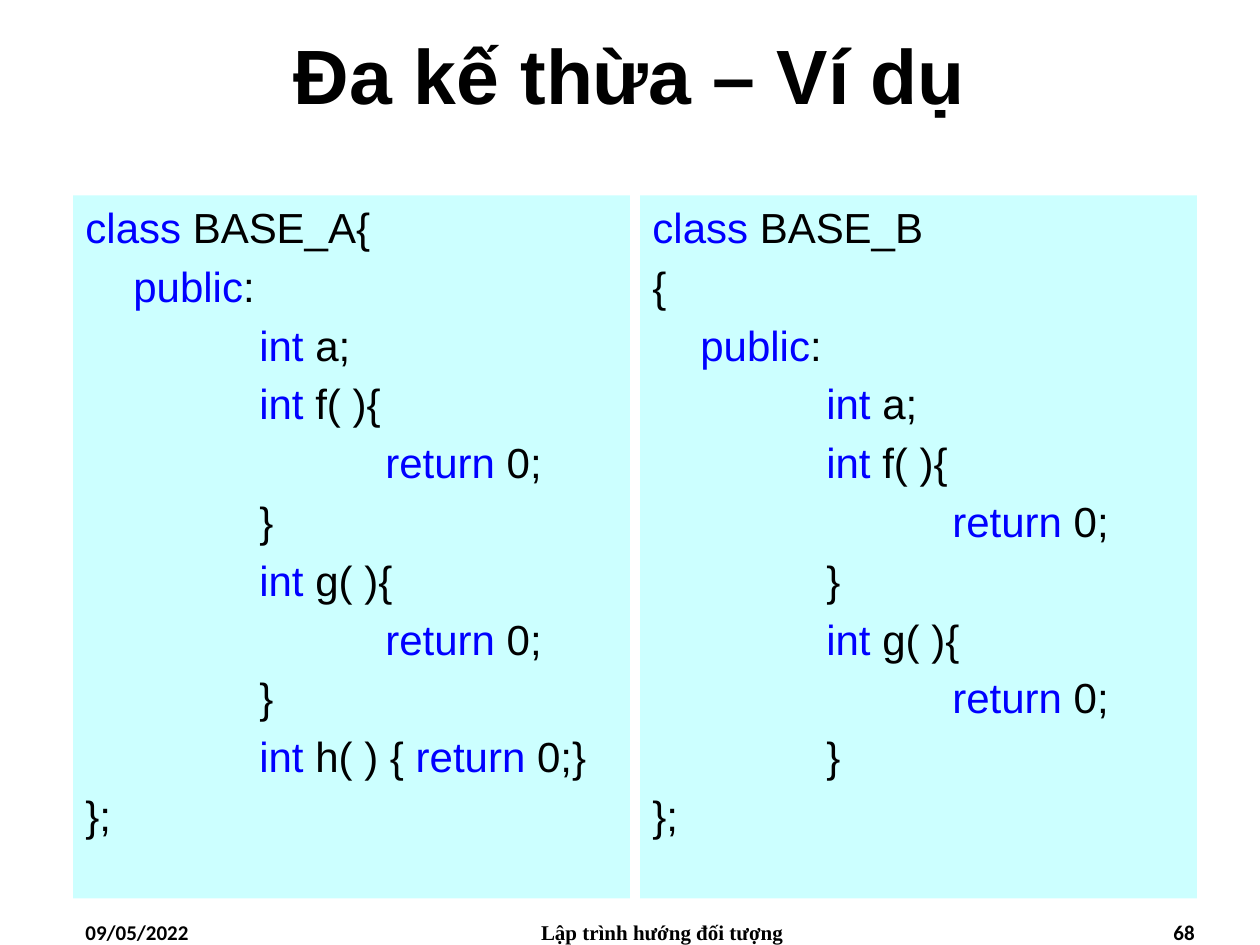
import pptx
import pptx.util
from pptx.dml.color import RGBColor
from pptx.enum.shapes import MSO_SHAPE
from pptx.enum.text import MSO_ANCHOR, PP_ALIGN
from pptx.util import Inches, Pt

COLORS = {"text": "000000", "keyword": "0000FF", "panel": "CCFFFF"}

# Keywords stand between bars.
METHODS = [
    "\t|public|:",
    "\t\t|int| a;",
    "\t\t|int| f( ){",
    "\t\t\t|return| 0;",
    "\t\t}",
    "\t\t|int| g( ){",
    "\t\t\t|return| 0;",
    "\t\t}",
]
BASE_A = ["|class| BASE_A{", *METHODS, "\t\t|int| h( ) { |return| 0;}", "};"]
BASE_B = ["|class| BASE_B", "{", *METHODS, "};"]


def style(p, font, size, bold, align):
    p.alignment = align
    p.font.name = font
    p.font.size = Pt(size)
    p.font.bold = bold
    p.font.color.rgb = RGBColor.from_string(COLORS["text"])


prs = pptx.Presentation()
prs.slide_width = Inches(10)
prs.slide_height = Inches(7.5)
s = prs.slides.add_slide(prs.slide_layouts[5])

title = s.shapes.title
title.left, title.top = Inches(0), Inches(0)
title.width, title.height = Inches(10), Inches(1.17)
title.text_frame.text = "Đa kế thừa – Ví dụ"
title.text_frame.vertical_anchor = MSO_ANCHOR.MIDDLE
style(title.text_frame.paragraphs[0], "Arial", 44, True, PP_ALIGN.CENTER)

footers = [
    ("09/05/2022", 0.58, 2.33, "Calibri", PP_ALIGN.LEFT),
    ("Lập trình hướng đối tượng", 3.67, 3.17, "Times New Roman", PP_ALIGN.CENTER),
    ("68", 7.25, 2.33, "Calibri", PP_ALIGN.RIGHT),
]
for text, left, width, font, align in footers:
    sp = s.shapes.add_textbox(Inches(left), Inches(7.25), Inches(width), Inches(0.25))
    sp.text_frame.word_wrap = True
    sp.text_frame.text = text
    style(sp.text_frame.paragraphs[0], font, 12, True, align)

for left, code in [(0.58, BASE_A), (5.08, BASE_B)]:
    sp = s.shapes.add_shape(
        MSO_SHAPE.RECTANGLE, Inches(left), Inches(1.55), Inches(4.42), Inches(5.58)
    )
    sp.shadow.inherit = False
    sp.fill.solid()
    sp.fill.fore_color.rgb = RGBColor.from_string(COLORS["panel"])
    sp.line.fill.background()
    tf = sp.text_frame
    tf.word_wrap = True
    tf.vertical_anchor = MSO_ANCHOR.TOP
    for i, line in enumerate(code):
        p = tf.add_paragraph() if i else tf.paragraphs[0]
        pPr = p._p.get_or_add_pPr()
        pPr.set("marL", str(Inches(0.38)))
        pPr.set("indent", str(-Inches(0.38)))
        pPr.set("defTabSz", str(Inches(1)))
        if i:
            p.space_before = Pt(4.8)
        style(p, "Arial", 24, False, PP_ALIGN.LEFT)
        for j, part in enumerate(line.split("|")):
            if part:
                r = p.add_run()
                r.text = part
                kind = "keyword" if j % 2 else "text"
                r.font.color.rgb = RGBColor.from_string(COLORS[kind])

prs.save("out.pptx")
